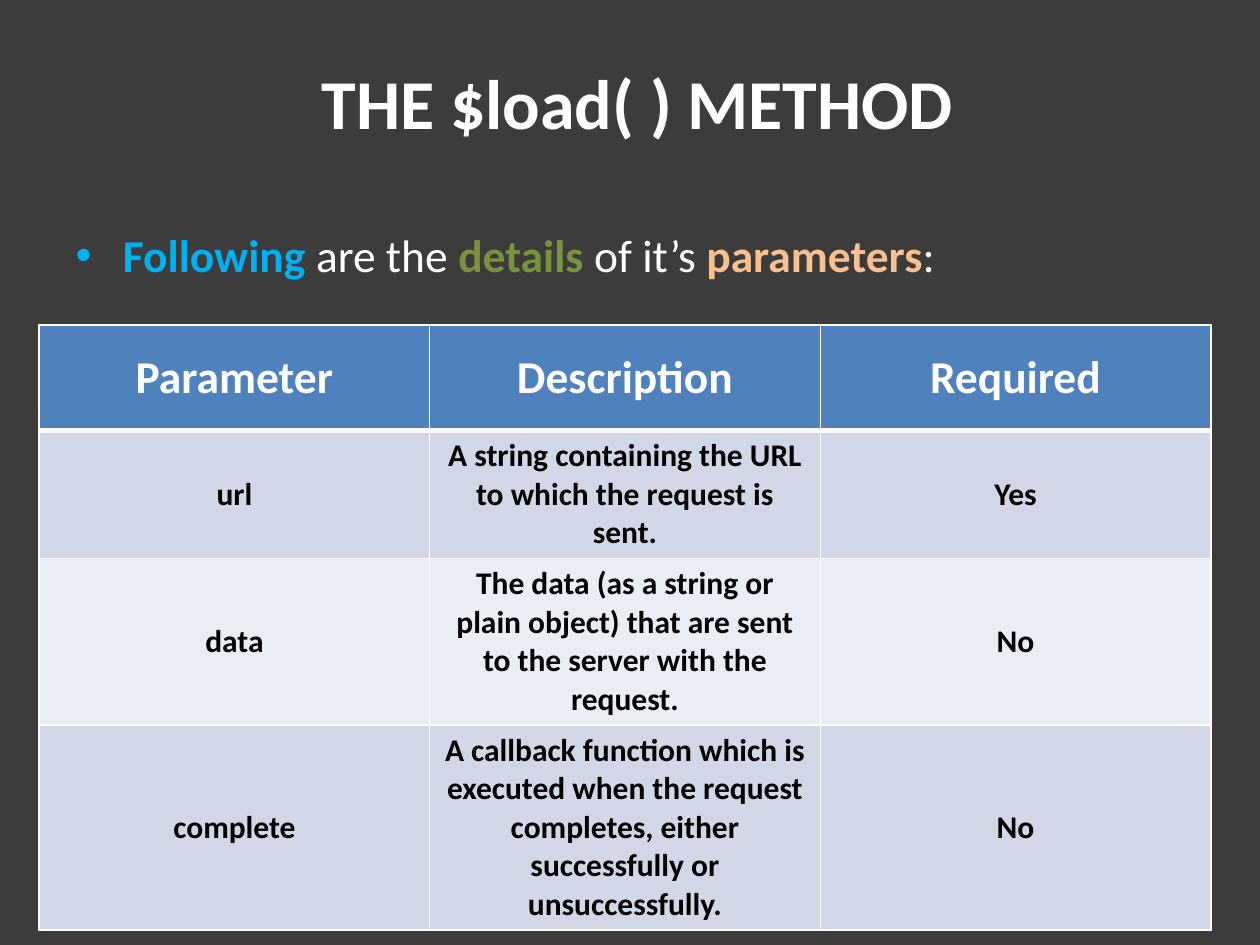
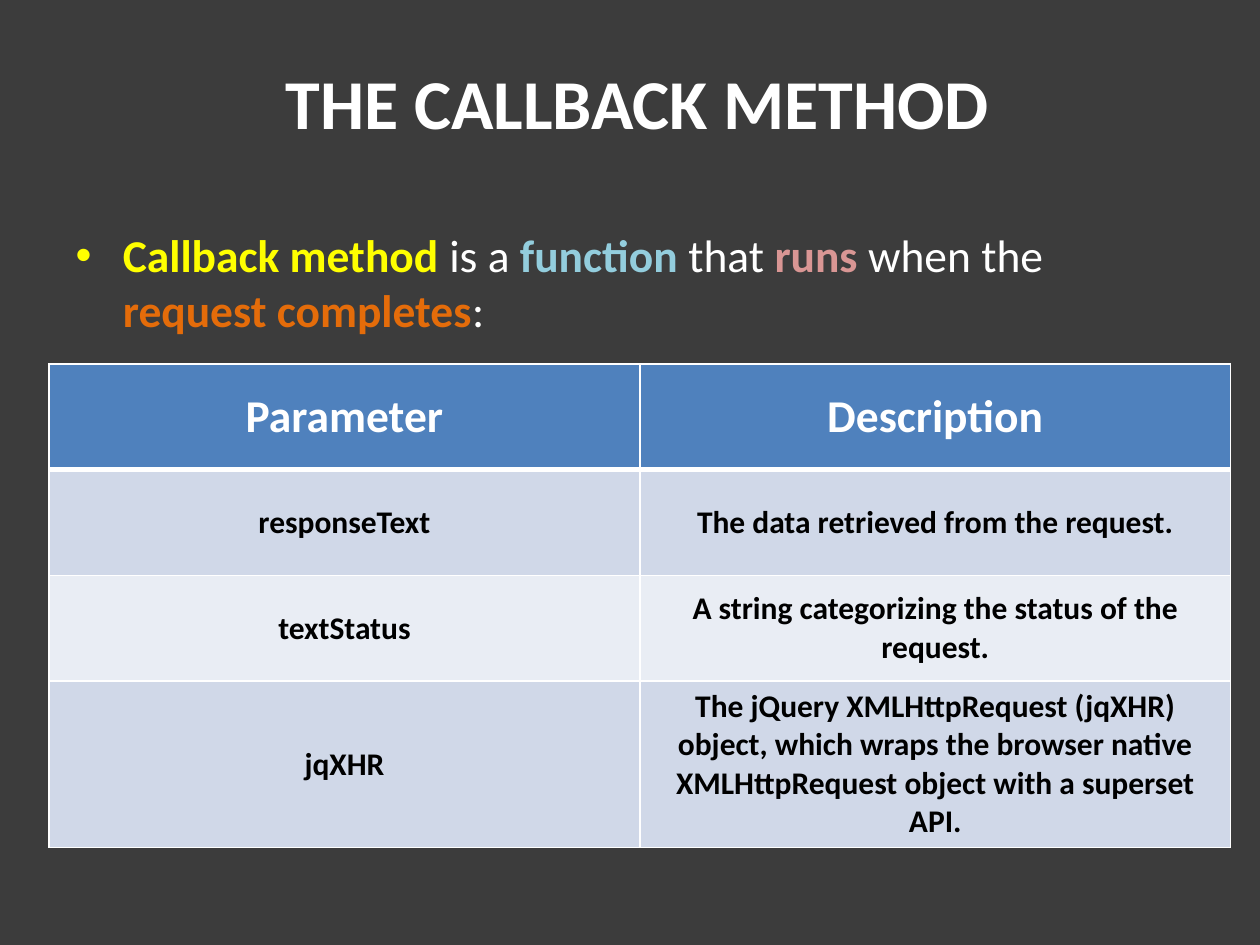
import pptx
import pptx.util
import pptx.dml.color
import pptx.enum.text
import pptx.oxml
import pptx.oxml.ns
from pptx.util import Cm

COLORS = {
    "background": "3C3C3C", "white": "FFFFFF", "black": "000000",
    "header": "4F81BD", "band_dark": "D0D8E8", "band_light": "E9EDF4",
    "sky": "00B0F0", "green": "77933C", "peach": "FAC090",
    "yellow": "FFFF00", "aqua": "93CDDD", "rose": "D99694", "orange": "E46C0A",
}
CENTER = pptx.enum.text.PP_ALIGN.CENTER
MIDDLE = pptx.enum.text.MSO_ANCHOR.MIDDLE


def rgb(name):
    return pptx.dml.color.RGBColor.from_string(COLORS[name])


def add_text(p, text, size=26, color="white", bold=True, font="Calibri"):
    """Append one formatted run to a paragraph."""
    r = p.add_run()
    r.text = text
    r.font.name = font
    r.font.size = pptx.util.Pt(size)
    r.font.bold = bold
    r.font.color.rgb = rgb(color)


def place(sp, left, top, width, height):
    sp.left, sp.top, sp.width, sp.height = Cm(left), Cm(top), Cm(width), Cm(height)


def set_borders(cell, **widths):
    """Draw white cell borders; widths in points, keyed L, R, T, B."""
    tcPr = cell._tc.get_or_add_tcPr()
    for side, width in widths.items():
        tcPr.append(pptx.oxml.parse_xml(
            f'<a:ln{side} {pptx.oxml.ns.nsdecls("a")} w="{pptx.util.Pt(width)}">'
            f'<a:solidFill><a:srgbClr val="{COLORS["white"]}"/></a:solidFill>'
            f'</a:ln{side}>'))


class Deck:
    ROW_HEIGHT = 2.13

    def __init__(self):
        self.prs = pptx.Presentation()
        self.prs.slide_width, self.prs.slide_height = Cm(25.4), Cm(19.05)
        self.s = None

    def slide(self, title):
        self.s = self.prs.slides.add_slide(self.prs.slide_layouts[1])
        fill = self.s.background.fill
        fill.solid()
        fill.fore_color.rgb = rgb("background")
        sp = self.s.shapes.title
        place(sp, 1, 1, 23.7, 2.1)
        tf = sp.text_frame
        tf.vertical_anchor = MIDDLE
        tf.paragraphs[0].alignment = CENTER
        add_text(tf.paragraphs[0], title, size=40)

    def bullet(self, *parts):
        """Plain strings are regular white; (text, color) pairs are bold."""
        sp = self.s.placeholders[1]
        place(sp, 1.27, 4.45, 22.86, 12.57)
        p = sp.text_frame.paragraphs[0]
        p.space_before = pptx.util.Pt(0)
        for part in parts:
            if isinstance(part, str):
                add_text(p, part, bold=False)
            else:
                add_text(p, part[0], color=part[1])

    def table(self, left, top, width, rows):
        n_rows, n_cols = len(rows), len(rows[0])
        table = self.s.shapes.add_table(
            n_rows, n_cols, Cm(left), Cm(top), Cm(width),
            Cm(self.ROW_HEIGHT * n_rows)).table
        for i, row in enumerate(rows):
            for j, text in enumerate(row):
                self.cell(table.cell(i, j), i, text)

    def cell(self, cell, row, text):
        # The rule under the header is thicker than the others
        set_borders(cell, L=1, R=1, T=3 if row == 1 else 1, B=3 if row == 0 else 1)
        if row == 0:
            fill, size, color = "header", 26, "white"
        else:
            fill, size, color = "band_dark" if row % 2 else "band_light", 18, "black"
        cell.fill.solid()
        cell.fill.fore_color.rgb = rgb(fill)
        cell.vertical_anchor = MIDDLE
        p = cell.text_frame.paragraphs[0]
        p.alignment = CENTER
        add_text(p, text, size=size, color=color)


def main():
    deck = Deck()

    # Parameters of the load method
    deck.slide("THE $load( ) METHOD")
    deck.bullet(("Following", "sky"), " are the ", ("details", "green"),
                " of it’s ", ("parameters", "peach"), ":")
    deck.table(0.79, 6.55, 23.62, [
        ("Parameter", "Description", "Required"),
        ("url", "A string containing the URL to which the request is sent.", "Yes"),
        ("data", "The data (as a string or plain object) that are sent to the "
                 "server with the request.", "No"),
        ("complete", "A callback function which is executed when the request "
                     "completes, either successfully or unsuccessfully.", "No"),
    ])

    # Parameters of the callback
    deck.slide("THE CALLBACK METHOD")
    deck.bullet(("Callback method ", "yellow"), "is a ", ("function", "aqua"),
                " that ", ("runs", "rose"), " when the ",
                ("request completes", "orange"), ":")
    deck.table(0.99, 7.34, 23.82, [
        ("Parameter", "Description"),
        ("responseText", "The data retrieved from the request."),
        ("textStatus", "A string categorizing the status of the request."),
        ("jqXHR", "The jQuery XMLHttpRequest (jqXHR) object, which wraps the "
                  "browser native XMLHttpRequest object with a superset API."),
    ])

    deck.prs.save("out.pptx")


if __name__ == "__main__":
    main()
